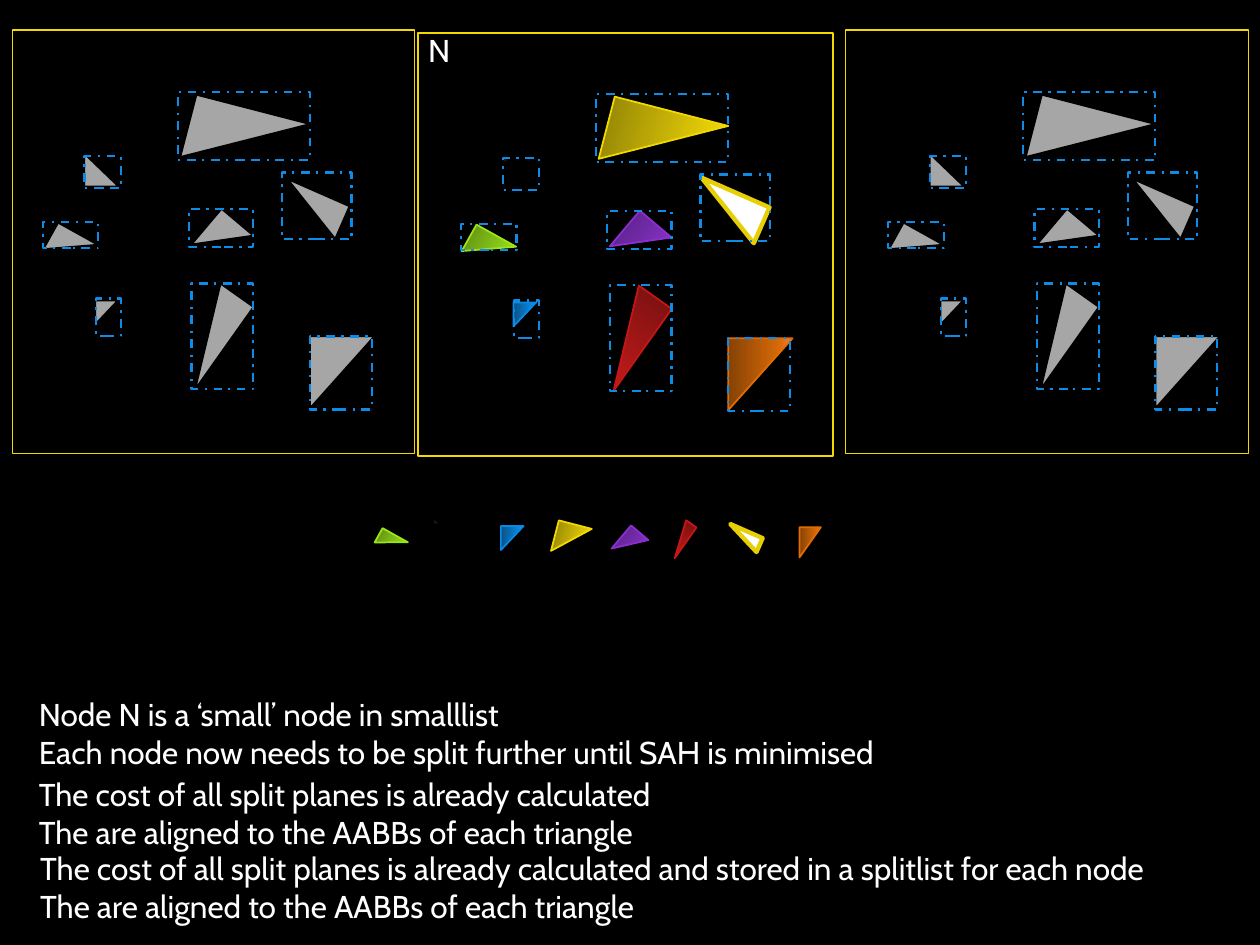
import copy
import dataclasses
import typing

import pptx
import pptx.dml.color
import pptx.enum.dml
import pptx.enum.shapes
import pptx.enum.text
import pptx.oxml.ns
import pptx.util

COLS, ROWS = 1000, 750
CELL = pptx.util.Inches(10) // COLS
FORM = pptx.enum.shapes.MSO_SHAPE


@dataclasses.dataclass(frozen=True)
class Theme:
    back: str = "000000"
    text: str = "FFFFFF"
    frame: str = "F2D902"
    bounds: str = "0D8BE6"
    font: str = "Cabin"
    size: float = 18
    thin: float = 1
    dash: float = 1.25
    thick: float = 2.5


class Box(typing.NamedTuple):
    col: float
    row: float
    wide: float
    high: float

    def move(self, col: float, row: float) -> "Box":
        return Box(self.col + col, self.row + row, self.wide, self.high)

    def cells(self) -> list[int]:
        return [round(part * CELL) for part in self]


class Paint(typing.NamedTuple):
    fill: tuple[str, ...]
    line: str


class Tri(typing.NamedTuple):
    place: Box
    spin: float
    paint: Paint
    width: float
    chip: Box
    bounds: Box


class Node(typing.NamedTuple):
    frame: Box
    col: float
    row: float
    live: bool


class Note(typing.NamedTuple):
    place: Box
    lines: tuple[str, ...]
    wrap: bool = False


THEME = Theme()
STOPS = (0, 0.8, 1)
GREY = Paint(("A6A6A6",), "000000")
BLACK = Paint(("000000", "000000", "5E5E5E"), "000000")
GOLD = Paint(("8F8105", "E7CF08", "FFE552"), "F2D902")
WHITE = Paint(("FFFFFF",), "E7CF08")
GREEN = Paint(("5D8812", "96DC1D", "ACFF4A"), "9BE618")
PLUM = Paint(("541F7C", "8733C8", "9D4BF2"), "8A30D0")
BLUE = Paint(("085288", "0C85DC", "489AFF"), "0789E6")
AMBER = Paint(("864205", "D86A08", "FF7D44"), "E26C02")
RED = Paint(("751010", "BD1A1A", "E84545"), "C61616")

TRIS = (
    Tri(Box(67, 122, 27, 26), 0, BLACK, THEME.thin,
        Box(344, 411, 27, 26), Box(67, 124, 29, 25)),
    Tri(Box(169, 65, 51, 93), 104.5, GOLD, THEME.thin,
        Box(441, 415, 25, 27), Box(141, 73, 105, 54)),
    Tri(Box(216, 150, 59, 31), 203.7, WHITE, THEME.thick,
        Box(576, 421, 28, 12), Box(224, 137, 55, 53)),
    Tri(Box(44, 178, 24, 36), 119.1, GREEN, THEME.thin,
        Box(304, 419, 13, 23), Box(34, 176, 44, 21)),
    Tri(Box(158, 174, 37, 33), 130.2, PLUM, THEME.thin,
        Box(488, 423, 24, 18), Box(150, 166, 51, 30)),
    Tri(Box(75, 239, 19, 18), 90, BLUE, THEME.thin,
        Box(397, 418, 19, 18), Box(76, 237, 20, 30)),
    Tri(Box(243, 270, 57, 51), 90, AMBER, THEME.thin,
        Box(631, 422, 24, 17), Box(246, 267, 49, 58)),
    Tri(Box(149, 227, 32, 80), 215.3, RED, THEME.thin,
        Box(535, 413, 10, 30), Box(152, 225, 49, 84)),
)

NODES = (
    Node(Box(332, 26, 329, 336), 332, 1.5, True),
    Node(Box(671, 24, 320, 336), 671, 0, False),
    Node(Box(10, 24, 319, 336), 0, 0, False),
)

ALIGNED = "The are aligned to the AABBs of each triangle"
COST = "The cost of all split planes is already calculated"
NOTES = (
    Note(Box(330, 20, 37, 40), ("N",)),
    Note(Box(21, 610, 512, 71), (COST, ALIGNED)),
    Note(Box(21, 547, 684, 71), (
        "Node N is a ‘small’ node in smalllist",
        "Each node now needs to be split further until SAH is minimised")),
    Note(Box(22, 669, 969, 71), (
        COST + " and stored in a splitlist for each node", ALIGNED), True),
)


def tint(code: str) -> pptx.dml.color.RGBColor:
    return pptx.dml.color.RGBColor.from_string(code)


def draw(slide, form, place: Box, paint: Paint, width: float, spin: float = 0):
    shape = slide.shapes.add_shape(form, *place.cells())
    shape.rotation = spin
    shape.shadow.inherit = False
    shape.line.color.rgb = tint(paint.line)
    shape.line.width = pptx.util.Pt(width)
    if not paint.fill:
        shape.fill.background()
    elif len(paint.fill) == 1:
        shape.fill.solid()
        shape.fill.fore_color.rgb = tint(paint.fill[0])
    else:
        blend(shape, paint.fill)
    return shape


def blend(shape, fill: tuple[str, ...]) -> None:
    shape.fill.gradient()
    shape.fill.gradient_angle = 90
    stops = next(shape._element.iter(pptx.oxml.ns.qn("a:gsLst")))
    stops.append(copy.deepcopy(stops[-1]))
    for stop, spot, code in zip(shape.fill.gradient_stops, STOPS, fill):
        stop.position = spot
        stop.color.rgb = tint(code)


def draw_tri(slide, tri: Tri, place: Box, paint: Paint) -> None:
    draw(slide, FORM.RIGHT_TRIANGLE, place, paint, tri.width, tri.spin)


def draw_node(slide, node: Node) -> None:
    draw(slide, FORM.RECTANGLE, node.frame, Paint((), THEME.frame), THEME.thin)
    for tri in TRIS:
        paint = tri.paint if node.live else GREY
        draw_tri(slide, tri, tri.place.move(node.col, node.row), paint)
    for tri in TRIS:
        place = tri.bounds.move(node.col, node.row)
        edge = draw(slide, FORM.RECTANGLE, place,
                    Paint((), THEME.bounds), THEME.dash)
        edge.line.dash_style = pptx.enum.dml.MSO_LINE.DASH_DOT


def write(slide, note: Note) -> None:
    frame = slide.shapes.add_textbox(*note.place.cells()).text_frame
    frame.text = "\n".join(note.lines)
    frame.word_wrap = note.wrap
    frame.auto_size = pptx.enum.text.MSO_AUTO_SIZE.SHAPE_TO_FIT_TEXT
    for line in frame.paragraphs:
        for run in line.runs:
            run.font.name = THEME.font
            run.font.size = pptx.util.Pt(THEME.size)
            run.font.color.rgb = tint(THEME.text)


def main() -> None:
    deck = pptx.Presentation()
    deck.slide_width, deck.slide_height = COLS * CELL, ROWS * CELL
    slide = deck.slides.add_slide(deck.slide_layouts[6])
    slide.background.fill.solid()
    slide.background.fill.fore_color.rgb = tint(THEME.back)
    label, *notes = NOTES
    live, *rest = NODES
    write(slide, label)
    draw_node(slide, live)
    for note in notes:
        write(slide, note)
    for node in rest:
        draw_node(slide, node)
    for tri in sorted(TRIS, key=lambda tri: tri.chip.col):
        draw_tri(slide, tri, tri.chip, tri.paint)
    deck.save("out.pptx")


main()
